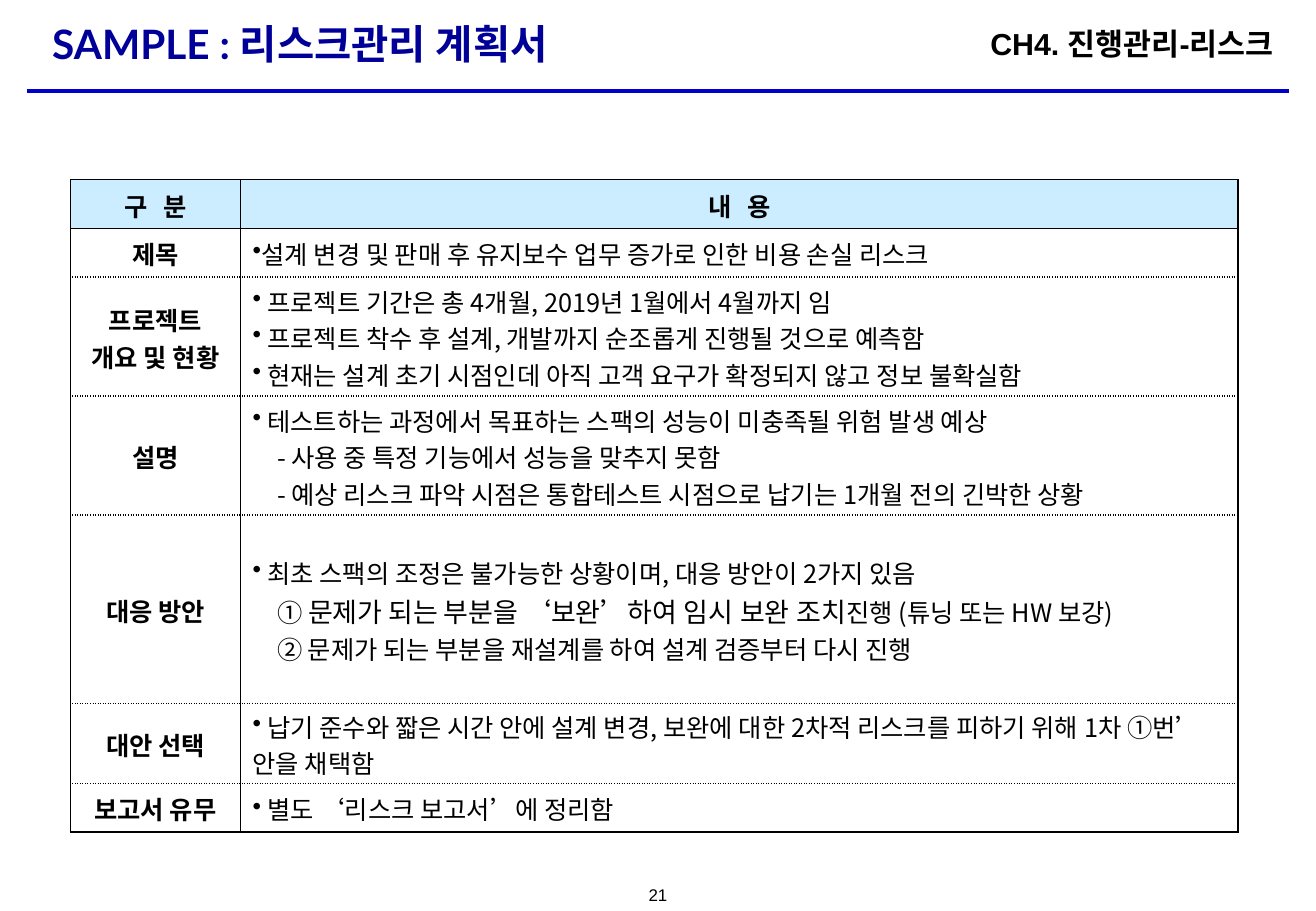
from lxml.etree import SubElement
from pptx import Presentation
from pptx.dml.color import RGBColor
from pptx.enum.shapes import MSO_CONNECTOR
from pptx.enum.text import MSO_ANCHOR, MSO_AUTO_SIZE, PP_ALIGN
from pptx.oxml.ns import qn
from pptx.util import Inches, Pt

COLORS = {"ink": "000000", "title": "000099", "rule": "0000CC", "header": "CCECFF", "paper": "FFFFFF"}
BODY = "Noto Sans CJK KR"
COLUMNS = [1.4, 8.21]
HEIGHTS = [0.4, 0.4, 0.98, 0.98, 1.55, 0.66, 0.4]
HEADINGS = ["구 분", "내 용"]
ROWS = [
    (["제목"], ["•설계 변경 및 판매 후 유지보수 업무 증가로 인한 비용 손실 리스크"]),
    (["프로젝트", "개요 및 현황"], [
        "• 프로젝트 기간은 총 4개월, 2019년 1월에서 4월까지 임",
        "• 프로젝트 착수 후 설계, 개발까지 순조롭게 진행될 것으로 예측함",
        "• 현재는 설계 초기 시점인데 아직 고객 요구가 확정되지 않고 정보 불확실함"]),
    (["설명"], [
        "• 테스트하는 과정에서 목표하는 스팩의 성능이 미충족될 위험 발생 예상",
        "- 사용 중 특정 기능에서 성능을 맞추지 못함",
        "- 예상 리스크 파악 시점은 통합테스트 시점으로 납기는 1개월 전의 긴박한 상황"]),
    (["대응 방안"], [
        "• 최초 스팩의 조정은 불가능한 상황이며, 대응 방안이 2가지 있음",
        [("① ", 15, BODY), ("문제가 되는 부분을 ‘보완’하여 ", 16, BODY),
         ("임시 보완 조치", 16, "Arial"), ("진행 (튜닝 또는 HW 보강)", 15, BODY)],
        "② 문제가 되는 부분을 재설계를 하여 설계 검증부터 다시 진행"]),
    (["대안 선택"], [
        "• 납기 준수와 짧은 시간 안에 설계 변경, 보완에 대한 2차적 리스크를 피하기 위해 1차 ①번’ 안을 채택함"]),
    (["보고서 유무"], ["• 별도 ‘리스크 보고서’에 정리함"]),
]


class SlideBuilder:
    """Holds the slide and its style, and adds each kind of element."""

    def __init__(self, slide):
        self.slide = slide

    def color(self, name):
        return RGBColor.from_string(COLORS[name])

    def add_run(self, paragraph, text, size, font, bold=False, color="ink"):
        run = paragraph.add_run()
        run.text = text
        run.font.size = Pt(size)
        run.font.bold = bold
        run.font.name = font
        run.font.color.rgb = self.color(color)
        SubElement(run.font._element, qn("a:ea"), typeface=font)
        return run

    def add_title(self, text, left, top, width, height):
        title = self.slide.shapes.title
        title.left, title.top = Inches(left), Inches(top)
        title.width, title.height = Inches(width), Inches(height)
        title.text_frame.auto_size = MSO_AUTO_SIZE.NONE
        title.text_frame.vertical_anchor = MSO_ANCHOR.MIDDLE
        paragraph = title.text_frame.paragraphs[0]
        paragraph.alignment = PP_ALIGN.LEFT
        self.add_run(paragraph, text, 24, "Lato", True, "title")

    def add_text(self, text, left, top, width, height, size, align, bold=False):
        box = self.slide.shapes.add_textbox(Inches(left), Inches(top), Inches(width), Inches(height))
        box.text_frame.word_wrap = False
        paragraph = box.text_frame.paragraphs[0]
        paragraph.alignment = align
        self.add_run(paragraph, text, size, "Arial", bold)

    def add_rule(self, left, right, top):
        line = self.slide.shapes.add_connector(
            MSO_CONNECTOR.STRAIGHT, Inches(left), Inches(top), Inches(right), Inches(top))
        line.line.color.rgb = self.color("rule")
        line.line.width = Pt(2.25)
        SubElement(line._element.spPr, qn("a:effectLst"))

    def add_table(self, left, top):
        frame = self.slide.shapes.add_table(
            len(HEIGHTS), len(COLUMNS), Inches(left), Inches(top),
            Inches(sum(COLUMNS)), Inches(sum(HEIGHTS)))
        table = frame.table
        table.first_row = table.horz_banding = False
        for column, width in zip(table.columns, COLUMNS):
            column.width = Inches(width)
        for row, height in zip(table.rows, HEIGHTS):
            row.height = Inches(height)
        for index, heading in enumerate(HEADINGS):
            self.fill_cell(table.cell(0, index), [heading], "header", True, True, True)
        for number, (labels, details) in enumerate(ROWS, 1):
            solid_top, solid_bottom = number == 1, number == len(ROWS)
            self.fill_cell(table.cell(number, 0), labels, "paper", True, solid_top, solid_bottom)
            self.fill_cell(table.cell(number, 1), details, "paper", False, solid_top, solid_bottom)

    def fill_cell(self, cell, lines, fill, label, solid_top, solid_bottom):
        cell.vertical_anchor = MSO_ANCHOR.MIDDLE
        cell.margin_left = cell.margin_right = Inches(0.1)
        cell.margin_top, cell.margin_bottom = Inches(0.03), Inches(0.01)
        sides = {"L": True, "R": True, "T": solid_top, "B": solid_bottom}
        for side, solid in sides.items():
            self.add_border(cell, side, solid)
        cell.fill.solid()
        cell.fill.fore_color.rgb = self.color(fill)
        for index, line in enumerate(lines):
            frame = cell.text_frame
            paragraph = frame.add_paragraph() if index else frame.paragraphs[0]
            if label:
                paragraph.alignment = PP_ALIGN.CENTER
                run = self.add_run(paragraph, line, 15, BODY, True)
                if line in HEADINGS:
                    run.font._element.set("spc", "300")
            else:
                self.add_detail(paragraph, line)

    def add_detail(self, paragraph, line):
        runs = [(line, 15, BODY)] if isinstance(line, str) else line
        properties = paragraph._p.get_or_add_pPr()
        bulleted = runs[0][0].startswith("•")
        properties.set("marL", str(Inches(0 if bulleted else 0.2)))
        properties.set("indent", "0")
        if bulleted:
            SubElement(properties, qn("a:buChar"), char="•")
        for text, size, font in runs:
            self.add_run(paragraph, text.removeprefix("•"), size, font)

    def add_border(self, cell, side, solid):
        properties = cell._tc.get_or_add_tcPr()
        border = SubElement(properties, qn(f"a:ln{side}"), w=str(Pt(1)))
        paint = SubElement(border, qn("a:solidFill"))
        SubElement(paint, qn("a:srgbClr"), val=COLORS["ink"])
        SubElement(border, qn("a:prstDash"), val="solid" if solid else "sysDot")


def main():
    presentation = Presentation()
    presentation.slide_width, presentation.slide_height = Inches(10.83), Inches(7.5)
    builder = SlideBuilder(presentation.slides.add_slide(presentation.slide_layouts[5]))
    builder.add_rule(0.22, 10.61, 0.75)
    builder.add_text("21", 5.21, 7.23, 0.41, 0.27, 10, PP_ALIGN.CENTER)
    builder.add_table(0.58, 1.48)
    builder.add_title("SAMPLE : 리스크관리 계획서", 0.33, 0.06, 10.17, 0.6)
    builder.add_text("CH4. 진행관리-리스크", 7.54, 0.16, 3.04, 0.4, 18, PP_ALIGN.RIGHT, True)
    presentation.save("out.pptx")


if __name__ == "__main__":
    main()
